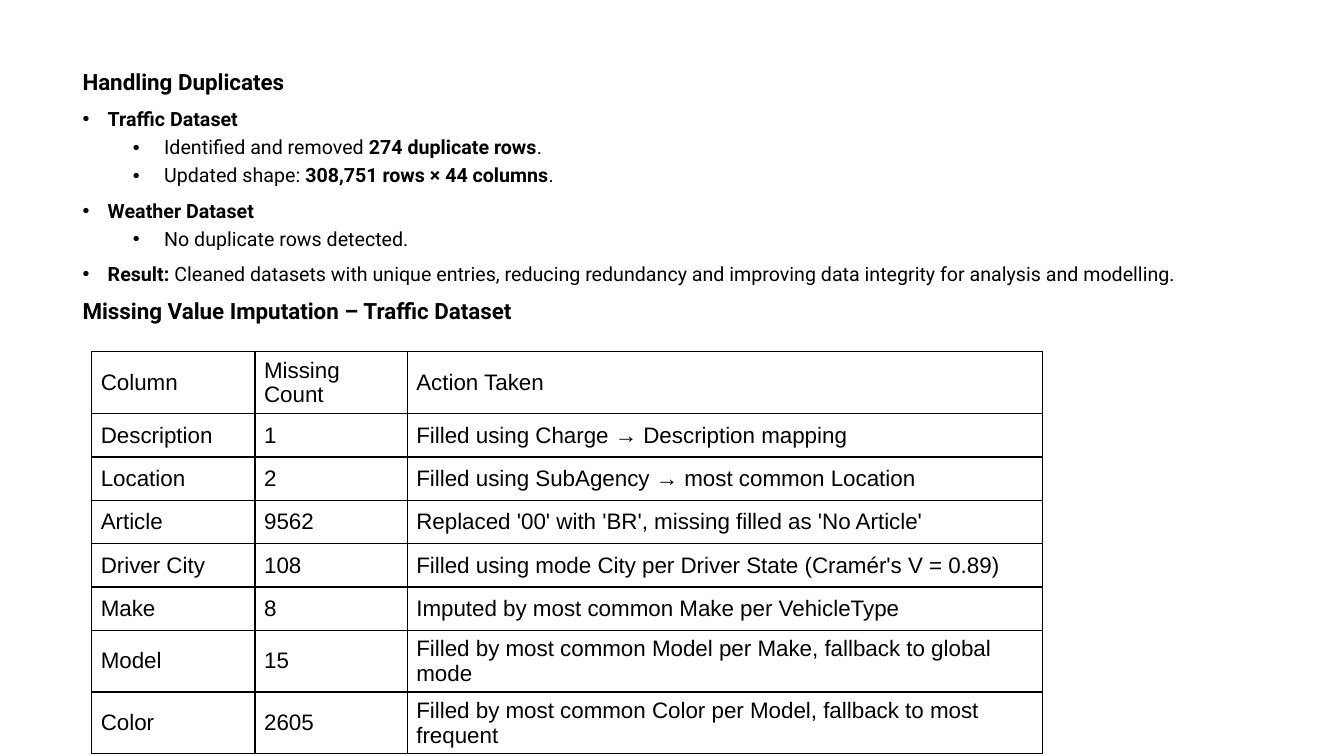
from dataclasses import dataclass

from lxml.etree import SubElement as Sub
from pptx import Presentation
from pptx.dml.color import RGBColor as RGB
from pptx.enum.text import MSO_ANCHOR as Anchor
from pptx.oxml.ns import qn
from pptx.util import Inches, Pt

# (level, text); text between ** marks is bold
NOTES = [
    ("head", "**Handling Duplicates**"),
    ("item", "**Traffic Dataset**"),
    ("sub", "Identified and removed **274 duplicate rows**."),
    ("sub", "Updated shape: **308,751 rows × 44 columns**."),
    ("item", "**Weather Dataset**"),
    ("sub", "No duplicate rows detected."),
    ("item", "**Result:** Cleaned datasets with unique entries, reducing "
             "redundancy and improving data integrity for analysis and modelling."),
    ("head", "**Missing Value Imputation – Traffic Dataset**"),
]
ROWS = [
    ("Column", "Missing Count", "Action Taken"),
    ("Description", "1", "Filled using Charge → Description mapping"),
    ("Location", "2", "Filled using SubAgency → most common Location"),
    ("Article", "9562", "Replaced '00' with 'BR', missing filled as 'No Article'"),
    ("Driver City", "108", "Filled using mode City per Driver State (Cramér's V = 0.89)"),
    ("Make", "8", "Imputed by most common Make per VehicleType"),
    ("Model", "15", "Filled by most common Model per Make, fallback to global mode"),
    ("Color", "2605", "Filled by most common Color per Model, fallback to most frequent"),
]
WIDTHS = (1.62, 1.51, 6.3)
HEAD_H, ROW_H = 0.35, 0.43


@dataclass(frozen=True)
class Theme:
    ink: str = "000000"
    body: str = "Roboto"
    grid: str = "Arial"
    big: int = 16
    small: int = 14
    line: int = 1


THEME = Theme()
# level: (outline level, left margin, first-line indent, size, space before)
LEVELS = {
    "head": (0, 0, 0, THEME.big, 10),
    "item": (0, 0.25, -0.25, THEME.small, 10),
    "sub": (1, 0.81, -0.31, THEME.small, 5),
}


def style(font, name, size, bold=False):
    font.name, font.size, font.bold = name, Pt(size), bold
    font.color.rgb = RGB.from_string(THEME.ink)


def paint(parent):
    fill = Sub(parent, qn("a:solidFill"))
    Sub(fill, qn("a:srgbClr"), val=THEME.ink)


def bullet(para, left, hang):
    props = para._p.get_or_add_pPr()
    props.set("marL", str(Inches(left)))
    props.set("indent", str(Inches(hang)))
    color = Sub(props, qn("a:buClr"))
    Sub(color, qn("a:srgbClr"), val=THEME.ink)
    Sub(props, qn("a:buFont"), typeface="Arial")
    Sub(props, qn("a:buChar"), char="•")


def add_notes(slide):
    box = slide.shapes.add_textbox(Inches(0.72), Inches(0.66), Inches(11.81), Inches(6.21))
    frame = box.text_frame
    frame.word_wrap = True
    for i, (kind, text) in enumerate(NOTES):
        level, left, hang, size, gap = LEVELS[kind]
        para = frame.add_paragraph() if i else frame.paragraphs[0]
        if kind != "head":
            bullet(para, left, hang)
        para.level = level
        para.line_spacing = 0.9
        para.space_before = Pt(gap if i else 0)
        for j, part in enumerate(text.split("**")):
            if part:
                run = para.add_run()
                run.text = part
                style(run.font, THEME.body, size, j % 2 == 1)


def border(cell):
    props = cell._tc.get_or_add_tcPr()
    for side in ("lnL", "lnR", "lnT", "lnB"):
        paint(Sub(props, qn(f"a:{side}"), w=str(Pt(THEME.line))))


def add_grid(slide):
    high = HEAD_H + ROW_H * (len(ROWS) - 1)
    table = slide.shapes.add_table(
        len(ROWS), len(WIDTHS), Inches(0.91), Inches(3.49),
        Inches(sum(WIDTHS)), Inches(high)).table
    table.first_row = table.horz_banding = False
    for col, wide in zip(table.columns, WIDTHS):
        col.width = Inches(wide)
    for r, texts in enumerate(ROWS):
        table.rows[r].height = Inches(ROW_H if r else HEAD_H)
        for c, text in enumerate(texts):
            cell = table.cell(r, c)
            cell.text_frame.text = text
            style(cell.text_frame.paragraphs[0].runs[0].font, THEME.grid, THEME.big)
            cell.vertical_anchor = Anchor.MIDDLE
            cell.margin_left = cell.margin_right = Inches(0.09)
            cell.margin_top = cell.margin_bottom = Inches(0.04)
            border(cell)
            cell.fill.background()


def main():
    deck = Presentation()
    deck.slide_width, deck.slide_height = Inches(13.33), Inches(7.5)
    slide = deck.slides.add_slide(deck.slide_layouts[6])
    add_notes(slide)
    add_grid(slide)
    deck.save("out.pptx")


if __name__ == "__main__":
    main()
